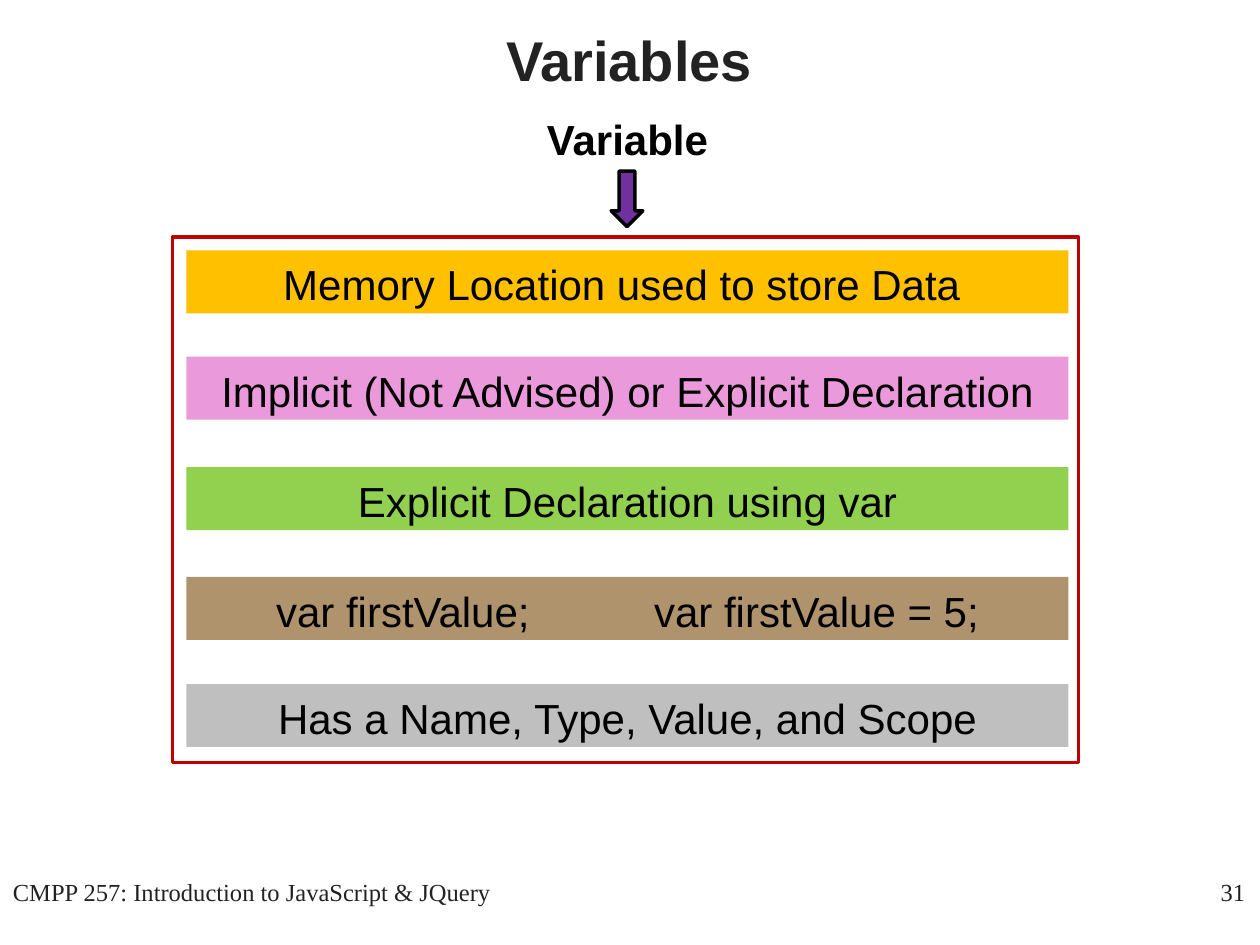
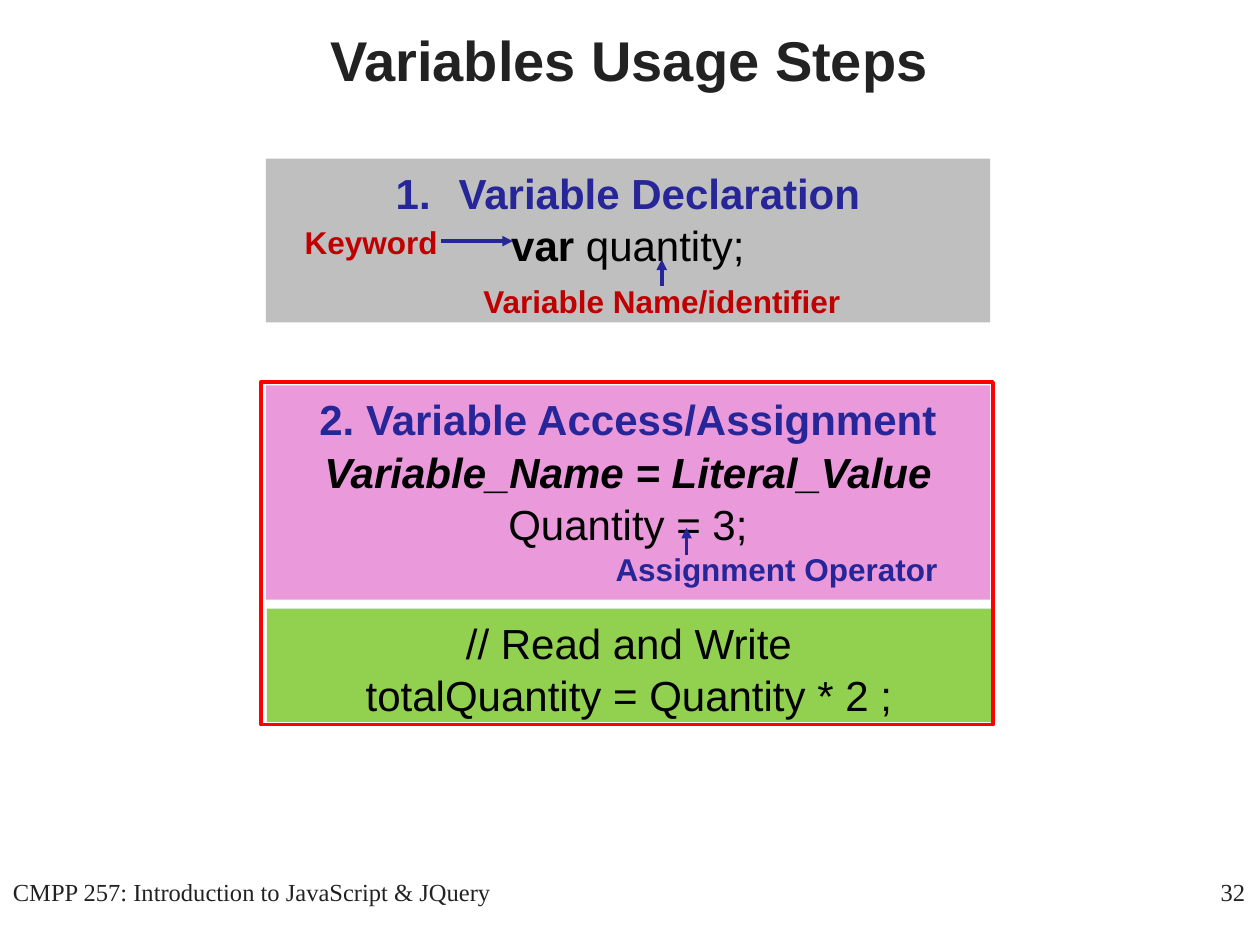
from dataclasses import dataclass

from lxml import etree
from pptx import Presentation
from pptx.dml.color import RGBColor
from pptx.enum.shapes import MSO_CONNECTOR, MSO_SHAPE
from pptx.enum.text import MSO_ANCHOR, PP_ALIGN
from pptx.oxml.ns import qn
from pptx.util import Cm, Pt

LINE = MSO_CONNECTOR.STRAIGHT
RECT, DOWN = MSO_SHAPE.RECTANGLE, MSO_SHAPE.DOWN_ARROW
TOP, MID = MSO_ANCHOR.TOP, MSO_ANCHOR.MIDDLE
MIDDLE, RIGHT = PP_ALIGN.CENTER, PP_ALIGN.RIGHT


@dataclass(frozen=True)
class Theme:
    ink: str = "222222"
    black: str = "000000"
    navy: str = "262699"
    red: str = "C00000"
    frame: str = "FF0000"
    gold: str = "FFC000"
    pink: str = "EA9ADB"
    green: str = "92D050"
    brown: str = "886128"
    gray: str = "BFBFBF"
    purple: str = "7030A0"
    sans: str = "Arial"
    serif: str = "Times New Roman"
    head: int = 32
    body: int = 24
    label: int = 18
    foot: int = 14
    stroke: int = 2
    lead: float = 1.04


def add(node, tag, **attrs):
    return etree.SubElement(node, qn(tag), attrs)


class Deck:
    def __init__(self, theme):
        self.theme = theme
        self.prs = Presentation()
        self.prs.slide_width, self.prs.slide_height = Cm(25.4), Cm(19.05)
        self.slide = None

    def page(self, title, number):
        t = self.theme
        self.slide = self.prs.slides.add_slide(self.prs.slide_layouts[6])
        self.text((1.47, -0.43, 22.43, 3.18), [title], anchor=MID,
                  size=t.head, bold=True, color=t.ink)
        small = {"size": t.foot, "name": t.serif, "color": t.ink}
        self.text((20.07, 17.53, 5.28, 1.27), [str(number)], align=RIGHT, **small)
        self.text((0, 17.53, 10.16, 1.27),
                  ["CMPP 257: Introduction to JavaScript & JQuery"], **small)

    def words(self, shape, paras, anchor=TOP, align=MIDDLE, inset=True, **style):
        frame = shape.text_frame
        wide, high = (0.25, 0.13) if inset else (0, 0)
        values = {"word_wrap": True, "vertical_anchor": anchor,
                  "margin_left": Cm(wide), "margin_right": Cm(wide),
                  "margin_top": Cm(high), "margin_bottom": Cm(high)}
        for key, value in values.items():
            setattr(frame, key, value)
        for i, runs in enumerate(paras):
            para = frame.paragraphs[0] if i == 0 else frame.add_paragraph()
            para.alignment, para.line_spacing = align, self.theme.lead
            for run in [(runs, {})] if isinstance(runs, str) else runs:
                self.piece(para, run[0], {**style, **run[1]})

    def piece(self, para, words, style):
        t = self.theme
        look = {"name": t.sans, "size": t.body, "color": t.black, **style}
        run = para.add_run()
        run.text = words
        run.font.color.rgb = RGBColor.from_string(look.pop("color"))
        look["size"] = Pt(look["size"])
        for key, value in look.items():
            setattr(run.font, key, value)

    def text(self, box, paras, **style):
        shape = self.slide.shapes.add_textbox(*map(Cm, box))
        self.words(shape, paras, **style)

    def shape(self, box, fill=None, line=None, kind=RECT):
        shape = self.slide.shapes.add_shape(kind, *map(Cm, box))
        shape.shadow.inherit = False
        for part, color in ((shape.fill, fill), (shape.line.fill, line)):
            if color:
                part.solid()
                part.fore_color.rgb = RGBColor.from_string(color)
            else:
                part.background()
        if line:
            shape.line.width = Pt(self.theme.stroke)
        return shape

    def panel(self, box, fill, paras, **style):
        shape = self.shape(box, fill)
        self.words(shape, paras, **style)
        return shape

    def fade(self, shape, share):
        color = shape._element.spPr.find(qn("a:solidFill"))[0]
        add(color, "a:alpha", val=str(share * 1000))

    def tabs(self, para, count):
        stops = add(para._p.get_or_add_pPr(), "a:tabLst")
        for i in range(1, count + 1):
            add(stops, "a:tab", pos=str(Cm(2.54 * i)), algn="l")

    def indent(self, para, gap, color=None):
        props = para._p.get_or_add_pPr()
        props.set("marL", str(Cm(gap)))
        props.set("indent", str(-Cm(gap)))
        if color:
            add(add(props, "a:buClr"), "a:srgbClr", val=color)
            add(props, "a:buFont", typeface=self.theme.sans)
            add(props, "a:buAutoNum", type="arabicPeriod")

    def arrow(self, *ends):
        line = self.slide.shapes.add_connector(LINE, *map(Cm, ends))
        line.line.color.rgb = RGBColor.from_string(self.theme.navy)
        line.line.width = Pt(self.theme.stroke)
        props = line._element.spPr
        add(props.find(qn("a:ln")), "a:tailEnd", type="triangle")
        add(props, "a:effectLst")

    def note(self, left, top, words, color):
        self.text((left, top, 8.51, 1.04), [words], inset=False,
                  size=self.theme.label, bold=True, color=color)


def facts(deck):
    t = deck.theme
    deck.page("Variables", 31)
    deck.shape((12.32, 3.45, 0.64, 1.12), t.purple, t.black, DOWN)
    deck.text((8.84, 2.11, 7.62, 1.27), ["Variable"], bold=True)
    rows = [
        (5.05, t.gold, "Memory Location used to store Data "),
        (7.19, t.pink, "Implicit (Not Advised) or Explicit Declaration"),
        (9.42, t.green, "Explicit Declaration using var"),
        (11.63, t.brown, "var firstValue;\tvar firstValue = 5;"),
        (13.79, t.gray, "Has a Name, Type, Value, and Scope"),
    ]
    for top, fill, words in rows:
        row = deck.panel((3.76, top, 17.78, 1.27), fill, [words])
        if fill == t.brown:
            deck.fade(row, 68)
            deck.tabs(row.text_frame.paragraphs[0], 7)
    deck.shape((3.48, 4.78, 18.26, 10.59), line=t.red)


def steps(deck):
    t = deck.theme
    left, wide = 5.36, 14.6
    head = {"bold": True, "color": t.navy}
    deck.page("Variables Usage Steps", 32)
    first = deck.panel((left, 3.2, wide, 3.3), t.gray, [
        [("Variable Declaration", head)],
        [("var", {"bold": True}), (" quantity;", {})],
    ])
    for para, color in zip(first.text_frame.paragraphs, (t.navy, None)):
        deck.indent(para, 1.27, color)
    deck.panel((left, 7.77, wide, 4.32), t.pink, [
        [("2. Variable Access/Assignment", head)],
        [("Variable_Name = Literal_Value", {"bold": True, "italic": True})],
        "Quantity = 3;",
    ])
    deck.arrow(8.89, 4.86, 10.34, 4.86)
    deck.note(3.23, 4.47, "Keyword", t.red)
    deck.arrow(13.34, 5.77, 13.34, 5.23)
    deck.note(9.09, 5.66, "Variable Name/identifier", t.red)
    deck.arrow(13.84, 11.18, 13.84, 10.64)
    deck.note(11.4, 11.05, "Assignment Operator", t.navy)
    deck.panel((left + 0.02, 12.27, wide, 2.29), t.green,
               ["// Read and Write", "totalQuantity = Quantity * 2 ;"])
    deck.shape((5.26, 7.7, 14.76, 6.91), line=t.frame)


def main():
    deck = Deck(Theme())
    facts(deck)
    steps(deck)
    deck.prs.save("out.pptx")


if __name__ == "__main__":
    main()
